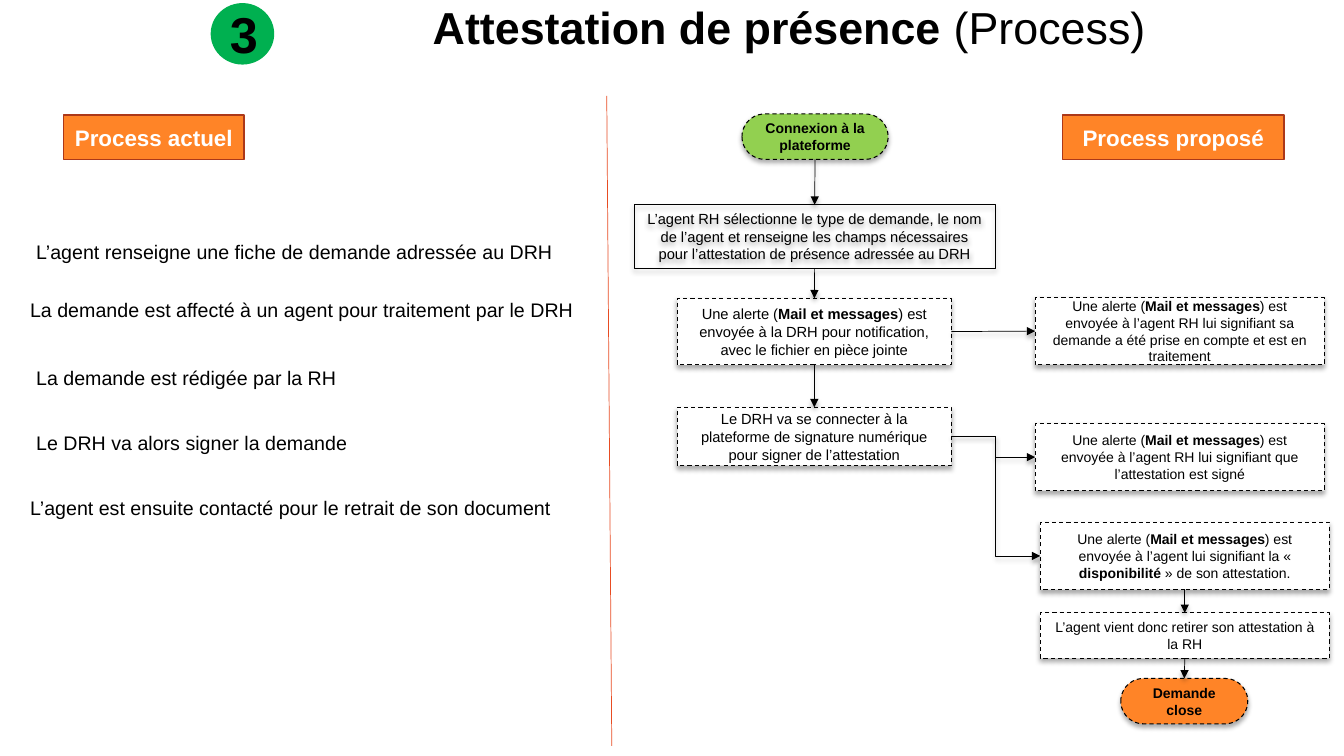
import lxml.etree
import pptx
import pptx.dml.color
import pptx.enum.dml
import pptx.enum.shapes
import pptx.enum.text
import pptx.oxml
import pptx.oxml.ns
import pptx.util

Pt = pptx.util.Pt
SHAPE = pptx.enum.shapes.MSO_SHAPE
CONNECTOR = pptx.enum.shapes.MSO_CONNECTOR
ALIGN = pptx.enum.text.PP_ALIGN
ANCHOR = pptx.enum.text.MSO_ANCHOR
qn = pptx.oxml.ns.qn

COLORS = {"black": "000000", "white": "FFFFFF", "badge": "00B050", "start": "92D050",
          "orange": "FF8427", "rust": "AC3819", "divider": "E84C22"}
TOP, LEFT, BOTTOM, RIGHT = range(4)
TRUNK_X = 711.3  # vertical run shared by the two bent arrows

STEPS = [  # left, top, text
    (18.7, 167.8, "L’agent renseigne une fiche de demande adressée au DRH"),
    (14.4, 209.5, "La demande est affecté à un agent pour traitement par le DRH"),
    (18.7, 257.8, "La demande est rédigée par la RH"),
    (18.7, 304.6, "Le DRH va alors signer la demande"),
    (14.4, 350.6, "L’agent est ensuite contacté pour le retrait de son document"),
]

ALERT = "Une alerte (**Mail et messages**) est envoyée "
BOXES = {  # position, font size, text with bold parts between **
    "notify": ((483.8, 213.1, 195.8, 47.5), 10.5,
               ALERT + "à la DRH pour notification, avec le fichier en pièce jointe"),
    "sign": ((483.8, 290.9, 195.8, 41.8), 10.5,
             "Le DRH va se connecter à la plateforme de signature numérique "
             "pour signer de l’attestation"),
    "received": ((739.4, 212.4, 206.6, 48.2), 10,
                 ALERT + "à l’agent RH lui signifiant sa demande a été prise en compte "
                 "et est en traitement"),
    "signed": ((739.4, 302.4, 206.6, 48.2), 10,
               ALERT + "à l’agent RH lui signifiant que l’attestation est signé"),
    "available": ((743, 373, 206.6, 48.2), 10,
                  ALERT + "à l’agent lui signifiant la « **disponibilité** » "
                  "de son attestation."),
    "pickup": ((743, 437.8, 206.6, 32.4), 10,
               "L’agent vient donc retirer son attestation à la RH"),
}
ARROWS = [("login", "select"), ("select", "notify"), ("notify", "sign"),
          ("available", "pickup"), ("pickup", "close")]


def rgb(name):
    return pptx.dml.color.RGBColor.from_string(COLORS[name])


def write(frame, text, size, color="black", align=ALIGN.CENTER, anchor=ANCHOR.MIDDLE):
    """Fill a text frame; parts between ** are bold."""
    frame.word_wrap = True
    frame.vertical_anchor = anchor
    para = frame.paragraphs[0]
    para.alignment = align
    for number, part in enumerate(text.split("**")):
        if part:
            span = para.add_run()
            span.text = part
            span.font.name = "Arial"
            span.font.size = Pt(size)
            span.font.bold = number % 2 == 1
            span.font.color.rgb = rgb(color)
    return para


def add_shadow(properties):
    effects = properties.find(qn("a:effectLst"))
    effects.append(pptx.oxml.parse_xml(
        '<a:outerShdw xmlns:a="http://schemas.openxmlformats.org/drawingml/2006/main" '
        f'blurRad="{Pt(3.5)}" dist="{Pt(2.2)}" dir="5400000" rotWithShape="0">'
        f'<a:srgbClr val="{COLORS["black"]}"><a:alpha val="32000"/></a:srgbClr>'
        '</a:outerShdw>'))


def add_box(page, kind, place, text, size, fill=None, line=None, width=0.75, color="black"):
    box = page.shapes.add_shape(kind, *map(Pt, place))
    if fill:
        box.fill.solid()
        box.fill.fore_color.rgb = rgb(fill)
    else:
        box.fill.background()
    if line:
        box.line.color.rgb = rgb(line)
        box.line.width = Pt(width)
    else:
        box.line.fill.background()
    box.shadow.inherit = False
    write(box.text_frame, text, size, color)
    return box


def add_step(page, kind, place, size, text, fill="white", dashed=True):
    """Flowchart box: black outline and a soft shadow."""
    box = add_box(page, kind, place, text, size, fill, "black")
    if dashed:
        box.line.dash_style = pptx.enum.dml.MSO_LINE.DASH
    if kind == SHAPE.ROUNDED_RECTANGLE:
        box.adjustments[0] = 0.5
    add_shadow(box._element.spPr)
    return box


def add_line(page, kind, ends, color):
    line = page.shapes.add_connector(kind, *map(Pt, ends))
    line.line.color.rgb = rgb(color)
    line.line.width = Pt(0.5)
    lxml.etree.SubElement(line._element.spPr, qn("a:effectLst"))
    return line


def add_arrow(page, source, source_side, target, target_side, bent=False):
    kind = CONNECTOR.ELBOW if bent else CONNECTOR.STRAIGHT
    arrow = add_line(page, kind, (0, 0, 0, 0), "black")
    arrow.begin_connect(source, source_side)
    arrow.end_connect(target, target_side)
    properties = arrow._element.spPr
    lxml.etree.SubElement(properties.find(qn("a:ln")), qn("a:tailEnd"), type="triangle")
    add_shadow(properties)
    if bent:
        share = (Pt(TRUNK_X) - arrow.begin_x) / (arrow.end_x - arrow.begin_x)
        guides = properties.find(qn("a:prstGeom")).find(qn("a:avLst"))
        lxml.etree.SubElement(guides, qn("a:gd"), name="adj1",
                              fmla=f"val {round(share * 100000)}")


def add_note(page, left, top, text):
    box = page.shapes.add_textbox(Pt(left), Pt(top), Pt(417), Pt(24.5))
    write(box.text_frame, text, 14, align=ALIGN.LEFT, anchor=ANCHOR.TOP)


def add_title(page):
    title = page.shapes.title
    title.left, title.top, title.width, title.height = map(Pt, (210.2, 1.4, 707, 39.6))
    para = write(title.text_frame, "**Attestation de présence **(Process)", 32)
    para.line_spacing = 0.9
    title.text_frame.auto_size = pptx.enum.text.MSO_AUTO_SIZE.NONE


def add_flowchart(page):
    nodes = {name: add_step(page, SHAPE.RECTANGLE, *box) for name, box in BOXES.items()}
    nodes["login"] = add_step(page, SHAPE.ROUNDED_RECTANGLE, (530, 81.4, 104.4, 32.4),
                              10, "**Connexion à la plateforme**", "start")
    nodes["close"] = add_step(page, SHAPE.ROUNDED_RECTANGLE, (800.6, 484.6, 90.7, 32.4),
                              10, "**Demande close**", "orange")
    nodes["select"] = add_step(
        page, SHAPE.RECTANGLE, (453, 146.2, 257.8, 45.4), 10.5,
        "L’agent RH sélectionne le type de demande, le nom de l’agent et renseigne les "
        "champs nécessaires pour l’attestation de présence adressée au DRH",
        None, dashed=False)

    for source, target in ARROWS:
        add_arrow(page, nodes[source], BOTTOM, nodes[target], TOP)
    add_arrow(page, nodes["notify"], RIGHT, nodes["received"], LEFT)
    for target in ("signed", "available"):
        add_arrow(page, nodes["sign"], RIGHT, nodes[target], LEFT, bent=True)


def main():
    deck = pptx.Presentation()
    deck.slide_width, deck.slide_height = Pt(960), Pt(540)
    page = deck.slides.add_slide(deck.slide_layouts.get_by_name("Title Only"))

    # Title and number
    add_title(page)
    add_box(page, SHAPE.OVAL, (150.5, 2.2, 45.4, 43.9), "**3**", 36, "badge")

    # Headings and divider
    for left, width, text in ((45.4, 128.9, "**Process actuel**"),
                              (758.9, 158.4, "**Process proposé**")):
        add_box(page, SHAPE.RECTANGLE, (left, 82.1, width, 31.7), text, 16,
                "orange", "rust", 1, "white")
    add_line(page, CONNECTOR.STRAIGHT, (433.4, 68.4, 437, 532.8), "divider")

    # Current process
    for step in STEPS:
        add_note(page, *step)

    # Proposed process
    add_flowchart(page)
    deck.save("out.pptx")


if __name__ == "__main__":
    main()
